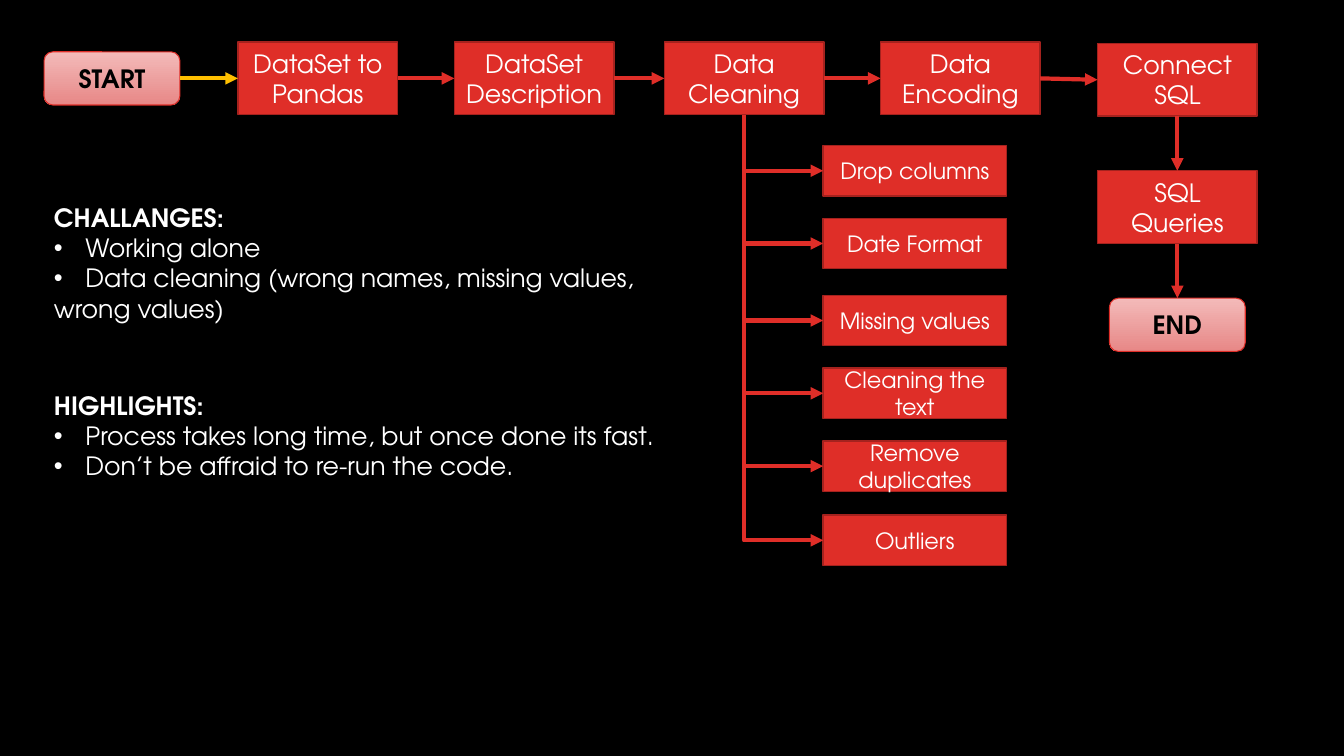
"""Build a data-processing flowchart slide with challenges and highlights."""
from lxml.etree import SubElement
from pptx import Presentation
from pptx.dml.color import RGBColor
from pptx.enum.shapes import MSO_CONNECTOR, MSO_SHAPE
from pptx.enum.text import MSO_ANCHOR, PP_ALIGN
from pptx.oxml.ns import qn
from pptx.util import Pt

BLACK = RGBColor(0x00, 0x00, 0x00)
WHITE = RGBColor(0xFF, 0xFF, 0xFF)
RED = RGBColor(0xDF, 0x2E, 0x28)
DARK_RED = RGBColor(0xA5, 0x22, 0x1E)
LIGHT_PINK = RGBColor(0xF3, 0xBA, 0xB9)
PINK = RGBColor(0xE7, 0x88, 0x87)
AMBER = RGBColor(0xFF, 0xC0, 0x00)
FONT = "TeX Gyre Adventor"
TOP, LEFT, BOTTOM, RIGHT = 0, 1, 2, 3

presentation = Presentation()
presentation.slide_width = Pt(960)
presentation.slide_height = Pt(540)
slide = presentation.slides.add_slide(presentation.slide_layouts[6])
slide.background.fill.solid()
slide.background.fill.fore_color.rgb = BLACK


def write(paragraph, text, size=18, bold=False, color=WHITE, align=PP_ALIGN.LEFT):
    paragraph.alignment = align
    run = paragraph.add_run()
    run.text = text
    run.font.name = FONT
    run.font.size = Pt(size)
    run.font.bold = bold
    run.font.color.rgb = color


def connect(start, start_side, end, end_side, color=RED, kind=MSO_CONNECTOR.STRAIGHT, arrow="a:tailEnd"):
    connector = slide.shapes.add_connector(kind, 0, 0, 0, 0)
    connector.begin_connect(start, start_side)
    connector.end_connect(end, end_side)
    connector.line.color.rgb = color
    connector.line.width = Pt(3)
    SubElement(connector.line._get_or_add_ln(), qn(arrow), type="triangle")
    SubElement(connector._element.spPr, qn("a:effectLst"))
    return connector


terminals = [("START", 31.5, 37), ("END", 792.5, 213)]
steps = [
    ("DataSet to Pandas", 170, 30),
    ("DataSet Description", 324.5, 30),
    ("Data Cleaning", 474.5, 30),
    ("Data Encoding", 629, 30),
    ("Connect SQL", 784, 31),
    ("SQL Queries", 784, 122),
]
cleaning_tasks = [
    ("Drop columns", 588, 104),
    ("Date Format", 588, 156),
    ("Missing values", 588, 211),
    ("Cleaning the text", 588, 263),
    ("Remove duplicates", 588, 315),
    ("Outliers", 588, 368),
]
groups = [
    (terminals, MSO_SHAPE.ROUNDED_RECTANGLE, 97, 38, 18),
    (steps, MSO_SHAPE.RECTANGLE, 114, 52, 18),
    (cleaning_tasks, MSO_SHAPE.RECTANGLE, 131, 36, 16),
]

boxes = {}
for group, outline, width, height, size in groups:
    is_terminal = group is terminals
    for label, left, top in group:
        shape = slide.shapes.add_shape(outline, Pt(left), Pt(top), Pt(width), Pt(height))
        shape.shadow.inherit = False
        if is_terminal:
            shape.fill.gradient()
            shape.fill.gradient_angle = 270
            for stop, color in zip(shape.fill.gradient_stops, (LIGHT_PINK, PINK)):
                stop.color.rgb = color
        else:
            shape.fill.solid()
            shape.fill.fore_color.rgb = RED
        shape.line.color.rgb = RED if is_terminal else DARK_RED
        shape.line.width = Pt(0.75 if is_terminal else 1)
        shape.text_frame.word_wrap = True
        shape.text_frame.vertical_anchor = MSO_ANCHOR.MIDDLE
        write(shape.text_frame.paragraphs[0], label, size=size, bold=is_terminal,
              color=BLACK if is_terminal else WHITE, align=PP_ALIGN.CENTER)
        boxes[label] = shape

step_boxes = [boxes[label] for label, left, top in steps]
connect(boxes["START"], RIGHT, step_boxes[0], LEFT, color=AMBER)
for start, end in zip(step_boxes[:4], step_boxes[1:5]):
    connect(start, RIGHT, end, LEFT)
connect(boxes["Connect SQL"], BOTTOM, boxes["SQL Queries"], TOP)
connect(boxes["SQL Queries"], BOTTOM, boxes["END"], TOP)

for label, left, top in cleaning_tasks:
    elbow = connect(boxes[label], LEFT, boxes["Data Cleaning"], BOTTOM,
                    kind=MSO_CONNECTOR.ELBOW, arrow="a:headEnd")
    elbow._element.spPr.find(qn("a:prstGeom")).set("prst", "bentConnector2")

notes = [
    ("CHALLANGES:", 141, 440, 117, [
        ("Working alone", True),
        ("Data cleaning (wrong names, missing values,", True),
        ("wrong values)", False),
    ]),
    ("HIGHLIGHTS:", 275, 449, 73, [
        ("Process takes long time, but once done its fast.", True),
        ("Don’t be affraid to re-run the code.", True),
    ]),
]
for heading, top, width, height, lines in notes:
    text_frame = slide.shapes.add_textbox(Pt(31.5), Pt(top), Pt(width), Pt(height)).text_frame
    text_frame.word_wrap = True
    write(text_frame.paragraphs[0], heading, bold=True)
    for line, bulleted in lines:
        paragraph = text_frame.add_paragraph()
        write(paragraph, line)
        if bulleted:
            properties = paragraph._p.get_or_add_pPr()
            properties.set("marL", str(Pt(22.5)))
            properties.set("indent", str(-Pt(22.5)))
            SubElement(properties, qn("a:buFont"), typeface="Arial")
            SubElement(properties, qn("a:buChar"), char="•")

presentation.save("out.pptx")
